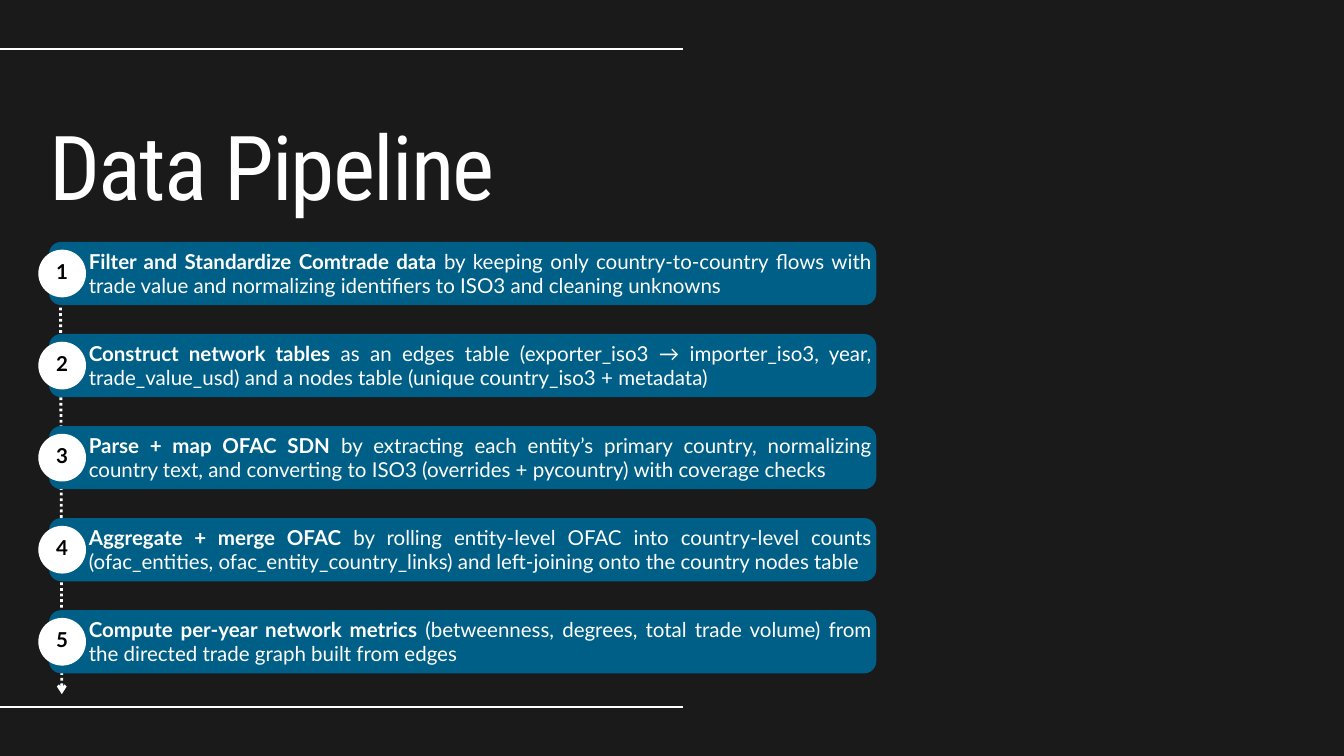
from lxml import etree
from pptx import Presentation
from pptx.dml.color import RGBColor
from pptx.enum.dml import MSO_LINE
from pptx.enum.shapes import MSO_CONNECTOR, MSO_SHAPE
from pptx.enum.text import MSO_ANCHOR, MSO_AUTO_SIZE, PP_ALIGN
from pptx.oxml.ns import qn
from pptx.util import Inches, Pt

STRAIGHT = MSO_CONNECTOR.STRAIGHT
ROUNDED, OVAL = MSO_SHAPE.ROUNDED_RECTANGLE, MSO_SHAPE.OVAL
TOP, MIDDLE = MSO_ANCHOR.TOP, MSO_ANCHOR.MIDDLE
LEFT, CENTER, JUSTIFY = PP_ALIGN.LEFT, PP_ALIGN.CENTER, PP_ALIGN.JUSTIFY
DOTTED = MSO_LINE.ROUND_DOT
NO_FIT = MSO_AUTO_SIZE.NONE

STEPS = [
    ("Filter and Standardize Comtrade data",
     " by keeping only country-to-country flows with trade value and "
     "normalizing identifiers to ISO3 and cleaning unknowns"),
    ("Construct network tables",
     " as an edges table (exporter_iso3 → importer_iso3, year, "
     "trade_value_usd) and a nodes table (unique country_iso3 + metadata)"),
    ("Parse + map OFAC SDN",
     " by extracting each entity’s primary country, normalizing country "
     "text, and converting to ISO3 (overrides + pycountry) with coverage checks"),
    ("Aggregate + merge OFAC",
     " by rolling entity-level OFAC into country-level counts (ofac_entities, "
     "ofac_entity_country_links) and left-joining onto the country nodes table"),
    ("Compute per-year network metrics",
     " (betweenness, degrees, total trade volume) from the directed trade "
     "graph built from edges"),
]
FIRST_TOP, STEP_PITCH = 3.6, 1.37
BAR_HEIGHT, BADGE_SIZE = 0.94, 0.71


def rgb(color):
    return RGBColor.from_string(color)


class PipelineSlide:
    background, bar_color = "1A1A1A", "005F86"
    light, dark = "FFFFFF", "000000"
    heading_font, body_font = "Roboto Condensed", "Lato"

    def __init__(self, deck):
        self.page = deck.slides.add_slide(deck.slide_layouts[5])
        fill = self.page.background.fill
        fill.solid()
        fill.fore_color.rgb = rgb(self.background)

    def frame(self, shape, anchor, inset=0):
        frame = shape.text_frame
        frame.word_wrap = True
        frame.auto_size = NO_FIT
        frame.vertical_anchor = anchor
        frame.margin_left = frame.margin_right = Inches(inset)
        frame.margin_top = frame.margin_bottom = 0
        return frame

    def style(self, para, align, font, size, color, leading, spacing=0):
        para.alignment = align
        para.line_spacing = Pt(leading)
        para.font.name = font
        para.font.size = Pt(size)
        para.font.color.rgb = rgb(color)
        if spacing:
            para._p.pPr.find(qn("a:defRPr")).set("spc", str(round(spacing * 100)))

    def title(self, text, left, top, width, height):
        box = self.page.shapes.title
        box.left, box.top = Inches(left), Inches(top)
        box.width, box.height = Inches(width), Inches(height)
        para = self.frame(box, TOP).paragraphs[0]
        para.text = text
        self.style(para, LEFT, self.heading_font, 96, self.light, 96, -1.9)

    def line(self, x1, y1, x2, y2, weight=1.5):
        line = self.page.shapes.add_connector(
            STRAIGHT, Inches(x1), Inches(y1), Inches(x2), Inches(y2))
        line.line.color.rgb = rgb(self.light)
        line.line.width = Pt(weight)
        etree.SubElement(line._element.spPr, qn("a:effectLst"))
        return line

    def dotted_arrow(self, x1, y1, x2, y2):
        arrow = self.line(x1, y1, x2, y2, 3)
        arrow.line.dash_style = DOTTED
        etree.SubElement(arrow.line._get_or_add_ln(), qn("a:tailEnd"), type="arrow")

    def shape(self, kind, left, top, width, height, color):
        shape = self.page.shapes.add_shape(
            kind, Inches(left), Inches(top), Inches(width), Inches(height))
        shape.shadow.inherit = False
        shape.fill.solid()
        shape.fill.fore_color.rgb = rgb(color)
        shape.line.fill.background()
        return shape

    def bar(self, top, lead, detail):
        bar = self.shape(ROUNDED, 0.73, top, 12.31, BAR_HEIGHT, self.bar_color)
        bar.adjustments[0] = 0.19
        para = self.frame(bar, MIDDLE, 0.02).paragraphs[0]
        self.style(para, JUSTIFY, self.body_font, 22, self.light, 26)
        para._p.pPr.set("marL", str(Inches(0.52)))
        for text, bold in ((lead, True), (detail, False)):
            span = para.add_run()
            span.text = text
            span.font.bold = bold

    def badge(self, top, number):
        badge = self.shape(OVAL, 0.57, top, BADGE_SIZE, BADGE_SIZE, self.light)
        para = self.frame(badge, MIDDLE).paragraphs[0]
        para.text = str(number)
        self.style(para, CENTER, self.body_font, 22, self.dark, 22, -0.4)
        para.font.bold = True


def main():
    deck = Presentation()
    deck.slide_width, deck.slide_height = Inches(20), Inches(11.25)
    slide = PipelineSlide(deck)

    # Title between the two rules
    slide.title("Data Pipeline", 0.73, 1.91, 7.53, 1.4)
    for y in (0.73, 10.52):
        slide.line(0, y, 10.17, y)

    # Flow arrow behind the numbered steps
    slide.dotted_arrow(0.9, 4.16, 0.92, 10.33)
    for index, (lead, detail) in enumerate(STEPS):
        top = FIRST_TOP + index * STEP_PITCH
        slide.bar(top, lead, detail)
        slide.badge(top + (BAR_HEIGHT - BADGE_SIZE) / 2, index + 1)

    deck.save("out.pptx")


if __name__ == "__main__":
    main()
